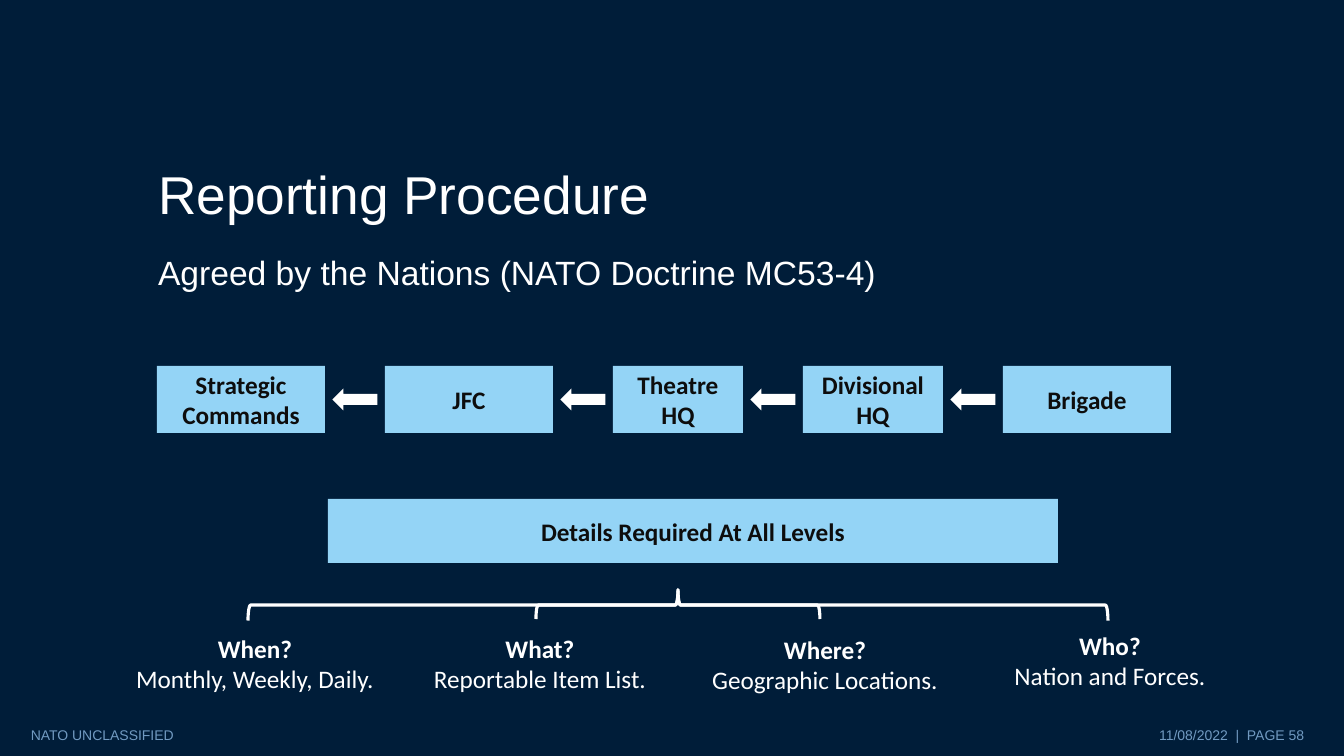
from pptx import Presentation
from pptx.dml.color import RGBColor
from pptx.enum.shapes import MSO_SHAPE
from pptx.enum.text import MSO_ANCHOR, MSO_AUTO_SIZE, PP_ALIGN
from pptx.util import Pt

RECT, ARROW, BRACE = MSO_SHAPE.RECTANGLE, MSO_SHAPE.LEFT_ARROW, MSO_SHAPE.RIGHT_BRACE
TOP, MIDDLE = MSO_ANCHOR.TOP, MSO_ANCHOR.MIDDLE
LEFT, CENTER, RIGHT, JUSTIFY = PP_ALIGN.LEFT, PP_ALIGN.CENTER, PP_ALIGN.RIGHT, PP_ALIGN.JUSTIFY
NO_FIT = MSO_AUTO_SIZE.NONE

NAVY = RGBColor(0x00, 0x1D, 0x39)
SKY = RGBColor(0x94, 0xD4, 0xF6)
STEEL = RGBColor(0x71, 0x9A, 0xC1)
INK = RGBColor(0x0D, 0x0D, 0x0D)
WHITE = RGBColor(0xFF, 0xFF, 0xFF)

WIDTH, HEIGHT = 1344, 756
SCALE = 12192000 / WIDTH

COMMANDS = [("Strategic Commands", 168), ("JFC", 168), ("Theatre\nHQ", 130),
            ("Divisional\nHQ", 140), ("Brigade", 168)]
QUESTIONS = [("When?", "Monthly, Weekly, Daily.", 0),
             ("What?", "Reportable Item List.", 0),
             ("Where?", "Geographic Locations.", 1),
             ("Who?", "Nation and Forces.", -3)]


def px(*lengths):
    return [round(length * SCALE) for length in lengths]


def write(shape, text, font, size, color, align, bold=False, anchor=MIDDLE):
    frame = shape.text_frame
    frame.text = text
    frame.word_wrap = True
    frame.auto_size = NO_FIT
    frame.vertical_anchor = anchor
    for paragraph in frame.paragraphs:
        paragraph.alignment = align
        paragraph.font.name = font
        paragraph.font.size = Pt(size)
        paragraph.font.bold = bold
        paragraph.font.color.rgb = color
    return frame.paragraphs


def add_filled(slide, kind, box, color):
    shape = slide.shapes.add_shape(kind, *px(*box))
    shape.shadow.inherit = False
    shape.fill.solid()
    shape.fill.fore_color.rgb = color
    shape.line.fill.background()
    return shape


def add_label(slide, text, box):
    write(add_filled(slide, RECT, box, SKY), text, "Calibri", 18, INK, CENTER, True)


def add_headings(slide, left, top):
    title, subtitle = slide.shapes.title, slide.placeholders[1]
    title.left, title.top, title.width, title.height = px(left, top, 1167, 146)
    subtitle.left, subtitle.top, subtitle.width, subtitle.height = px(left, top + 124, 1141, 468)
    heading, = write(title, "Reporting Procedure", "Arial", 38, WHITE, LEFT)
    heading.line_spacing = Pt(42)
    doctrine, = write(subtitle, "Agreed by the Nations (NATO Doctrine MC53-4)",
                      "Arial", 24, WHITE, JUSTIFY, anchor=TOP)
    properties = doctrine._p.get_or_add_pPr()
    properties.set("marL", "0")
    properties.set("indent", "0")
    properties.insert(0, properties.makeelement(
        "{http://schemas.openxmlformats.org/drawingml/2006/main}buNone", {}))
    doctrine.line_spacing = Pt(28.8)
    doctrine.space_before = Pt(0)


def add_command_chain(slide, left, top, height, gap):
    """Place the commands left to right, with an arrow centred in each gap."""
    arrow_width, arrow_height = 45, 22
    for index, (command, width) in enumerate(COMMANDS):
        add_label(slide, command, (left, top, width, height))
        left += width
        if index < len(COMMANDS) - 1:
            add_filled(slide, ARROW, (left + (gap - arrow_width) / 2,
                                      top + (height - arrow_height) / 2,
                                      arrow_width, arrow_height), WHITE)
        left += gap


def add_upward_brace(slide, center_x, center_y, span, depth):
    brace = slide.shapes.add_shape(
        BRACE, *px(center_x - depth / 2, center_y - span / 2, depth, span))
    brace.rotation = 270
    brace.shadow.inherit = False
    brace.fill.background()
    brace.line.color.rgb = WHITE
    brace.line.width = Pt(2.25)


def add_questions(slide, left, top, width, height, pitch):
    for index, (question, answer, shift) in enumerate(QUESTIONS):
        box = slide.shapes.add_textbox(*px(left + index * pitch, top + shift, width, height))
        _, answer_line = write(box, f"{question}\n{answer}", "Calibri", 18, WHITE, CENTER, True)
        answer_line.font.bold = False


def add_details(slide, left, top):
    add_label(slide, "Details Required At All Levels", (left + 205, top, 730, 64))
    add_upward_brace(slide, left + 555, top + 106, 860, 31)
    add_upward_brace(slide, left + 555, top + 106, 284, 28)
    add_questions(slide, left, top + 131, 264, 67, 285)


def add_footer(slide, top, height):
    for text, left, width, align in (("NATO UNCLASSIFIED", 21, 454, LEFT),
                                     ("11/08/2022  |  PAGE 58", 1012, 302, RIGHT)):
        box = slide.shapes.add_textbox(*px(left, top, width, height))
        write(box, text, "Arial", 10, STEEL, align)


def main():
    deck = Presentation()
    deck.slide_width, deck.slide_height = px(WIDTH, HEIGHT)
    slide = deck.slides.add_slide(deck.slide_layouts[1])
    slide.background.fill.solid()
    slide.background.fill.fore_color.rgb = NAVY
    add_headings(slide, 148, 123)
    add_command_chain(slide, 157, 366, 67, 60)
    add_details(slide, 123, 499)
    add_footer(slide, 715, 40)
    deck.save("out.pptx")


if __name__ == "__main__":
    main()
